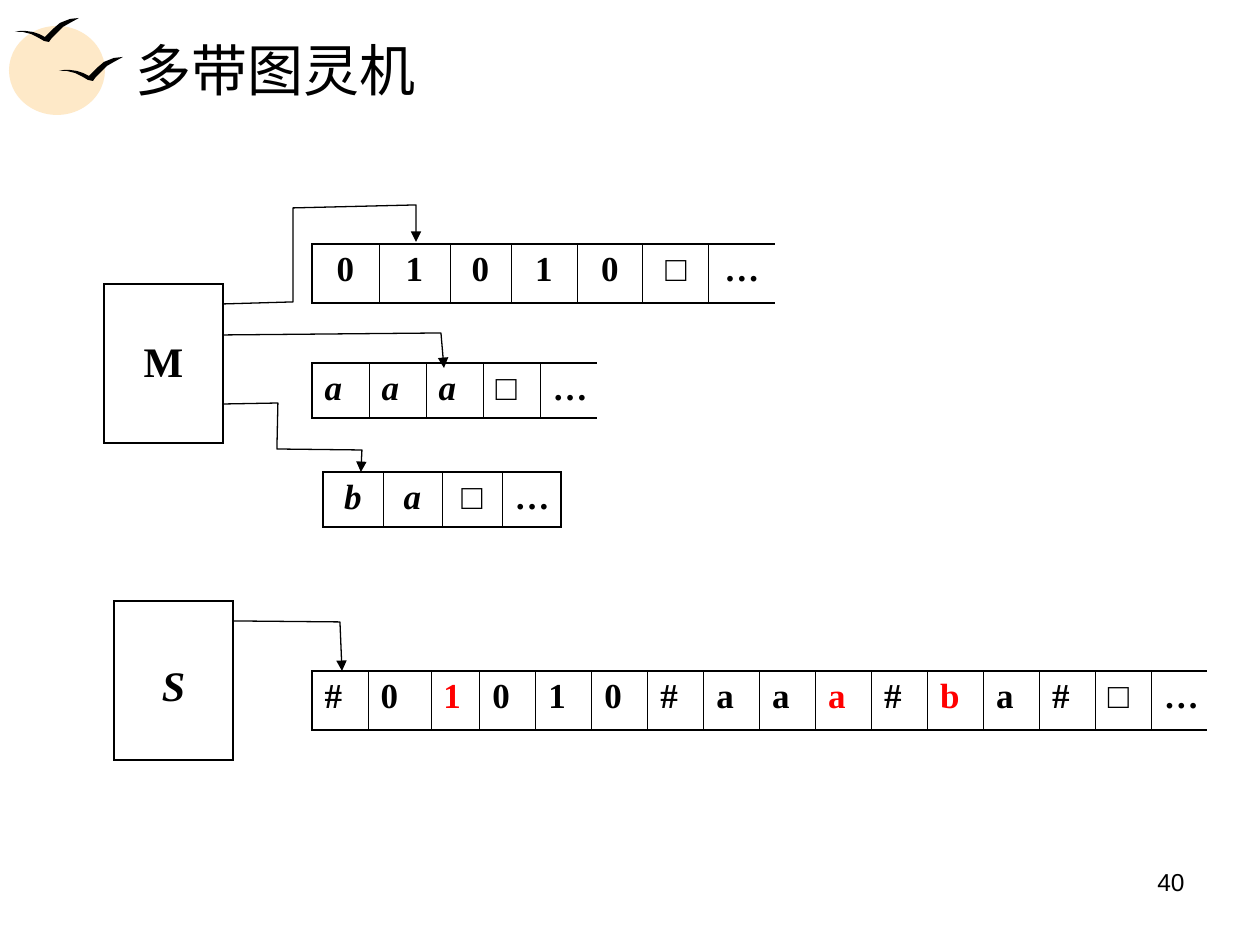
"""Build the slide on multi-tape Turing machines."""
import pptx
import pptx.util
import pptx.dml.color
import pptx.enum.shapes
import pptx.enum.text
import pptx.oxml
import pptx.oxml.ns

PX = 914400 // 126
INK = {"black": "000000", "red": "FF0000", "sun": "FEE9C8"}
SERIF = "Times New Roman"
TITLE = "多带图灵机"
ALIGN = pptx.enum.text.PP_ALIGN

TAPES = [
    {"at": (312, 244), "high": 59, "text": "01010□…", "wide": [67, 71, 61, 66, 66, 66, 66],
     "align": ALIGN.CENTER, "open": True},
    {"at": (312, 363), "high": 55, "text": "aaa□…", "wide": [57] * 5,
     "slant": "a", "open": True},
    {"at": (323, 472), "high": 55, "text": "ba□…", "wide": [60, 59, 60, 59],
     "align": ALIGN.CENTER, "slant": "ab"},
    {"at": (312, 671), "high": 59, "text": "#01010#aaa#ba#□…", "wide": [56, 63, 49] + [56] * 13,
     "red": (2, 9, 11), "open": True},
]
BOXES = [
    {"at": (104, 284), "high": 159, "text": "M", "wide": [119], "align": ALIGN.CENTER,
     "size": 24, "top": 56},
    {"at": (114, 601), "high": 159, "text": "S", "wide": [119], "align": ALIGN.CENTER,
     "size": 24, "top": 63, "slant": "S"},
]
HEADS = [
    [(223, 304), (293, 302), (293, 208), (416, 205), (416, 242)],
    [(223, 335), (441, 333), (444, 368)],
    [(223, 404), (278, 403), (277, 449), (362, 450), (361, 472)],
    [(233, 621), (340, 622), (342, 671)],
]
SUNS = [(9, 26, 96, 89), (25, 35, 79, 69)]
BIRD = [(0, 14), (5, 13), (11, 13), (18, 14), (24, 16), (30, 19), (33, 16),
        (38, 11), (45, 5), (55, 1), (64, 0), (55, 5), (48, 9), (42, 15),
        (37, 20), (34, 24), (29, 23), (24, 20), (16, 16), (8, 14)]
BIRDS = [(59, 57), (15, 18)]


def emu(*nums):
    return [pptx.util.Emu(num * PX) for num in nums]


def tint(name):
    return pptx.dml.color.RGBColor.from_string(INK[name])


def write(para, text, size, face, ink="black", bold=None, slant=None):
    run = para.add_run()
    run.text = text
    font = run.font
    font.size, font.name = pptx.util.Pt(size), face
    font.bold, font.italic = bold, slant
    font.color.rgb = tint(ink)


def edge(cell, side, width):
    space = pptx.oxml.ns.nsdecls("a")
    paint = "<a:noFill/>"
    if width:
        paint = f'<a:solidFill><a:srgbClr val="{INK["black"]}"/></a:solidFill>'
    return pptx.oxml.parse_xml(
        f'<a:ln{side} {space} w="{int(width * 12700)}">{paint}</a:ln{side}>')


def grid(slide, row):
    wide = row["wide"]
    frame = slide.shapes.add_table(1, len(wide), *emu(*row["at"], sum(wide), row["high"]))
    table = frame.table
    table.first_row = table.horz_banding = False
    table.rows[0].height = emu(row["high"])[0]
    last = len(wide) - 1
    for col, (span, text) in enumerate(zip(wide, row["text"])):
        table.columns[col].width = emu(span)[0]
        cell = table.cell(0, col)
        cell.fill.background()
        if "top" in row:
            cell.margin_top = emu(row["top"])[0]
        para = cell.text_frame.paragraphs[0]
        para.alignment = row.get("align", ALIGN.LEFT)
        ink = "red" if col in row.get("red", ()) else "black"
        write(para, text, row.get("size", 20), SERIF, ink, True, text in row.get("slant", ""))
        outer = 0 if row.get("open") else 1.08
        sides = {"L": 0.45 if col else 1.08, "R": 0.45 if col < last else outer,
                 "T": 1.08, "B": 1.08}
        props = cell._tc.get_or_add_tcPr()
        for spot, (side, width) in enumerate(sides.items()):
            props.insert(spot, edge(cell, side, width))


def trace(slide, dots, close):
    pen = slide.shapes.build_freeform(*dots[0], scale=PX)
    pen.add_line_segments(dots[1:], close=close)
    shape = pen.convert_to_shape()
    shape.shadow.inherit = False
    return shape


def solid(shape, name):
    shape.shadow.inherit = False
    shape.fill.solid()
    shape.fill.fore_color.rgb = tint(name)
    shape.line.fill.background()


def arrow(slide, dots):
    shape = trace(slide, dots, False)
    shape.fill.background()
    shape.line.color.rgb = tint("black")
    shape.line.width = pptx.util.Pt(0.75)
    space = pptx.oxml.ns.nsdecls("a")
    shape.line._get_or_add_ln().append(
        pptx.oxml.parse_xml(f'<a:tailEnd {space} type="triangle"/>'))


def main():
    deck = pptx.Presentation()
    deck.slide_width, deck.slide_height = emu(1260, 945)
    slide = deck.slides.add_slide(deck.slide_layouts[5])

    for place in SUNS:
        solid(slide.shapes.add_shape(pptx.enum.shapes.MSO_SHAPE.OVAL, *emu(*place)), "sun")
    for left, top in BIRDS:
        solid(trace(slide, [(left + x, top + y) for x, y in BIRD], True), "black")

    title = slide.shapes.title
    title.left, title.top, title.width, title.height = emu(123, 26, 1075, 87)
    frame = title.text_frame
    frame.auto_size = pptx.enum.text.MSO_AUTO_SIZE.NONE
    frame.vertical_anchor = pptx.enum.text.MSO_ANCHOR.MIDDLE
    frame.paragraphs[0].alignment = ALIGN.LEFT
    write(frame.paragraphs[0], TITLE, 32, SERIF)

    for row in TAPES + BOXES:
        grid(slide, row)
    for dots in HEADS:
        arrow(slide, dots)

    page = slide.shapes.add_textbox(*emu(903, 861, 294, 66)).text_frame
    page.word_wrap = True
    page.paragraphs[0].alignment = ALIGN.RIGHT
    write(page.paragraphs[0], "40", 14, "Arial")
    deck.save("out.pptx")


if __name__ == "__main__":
    main()
